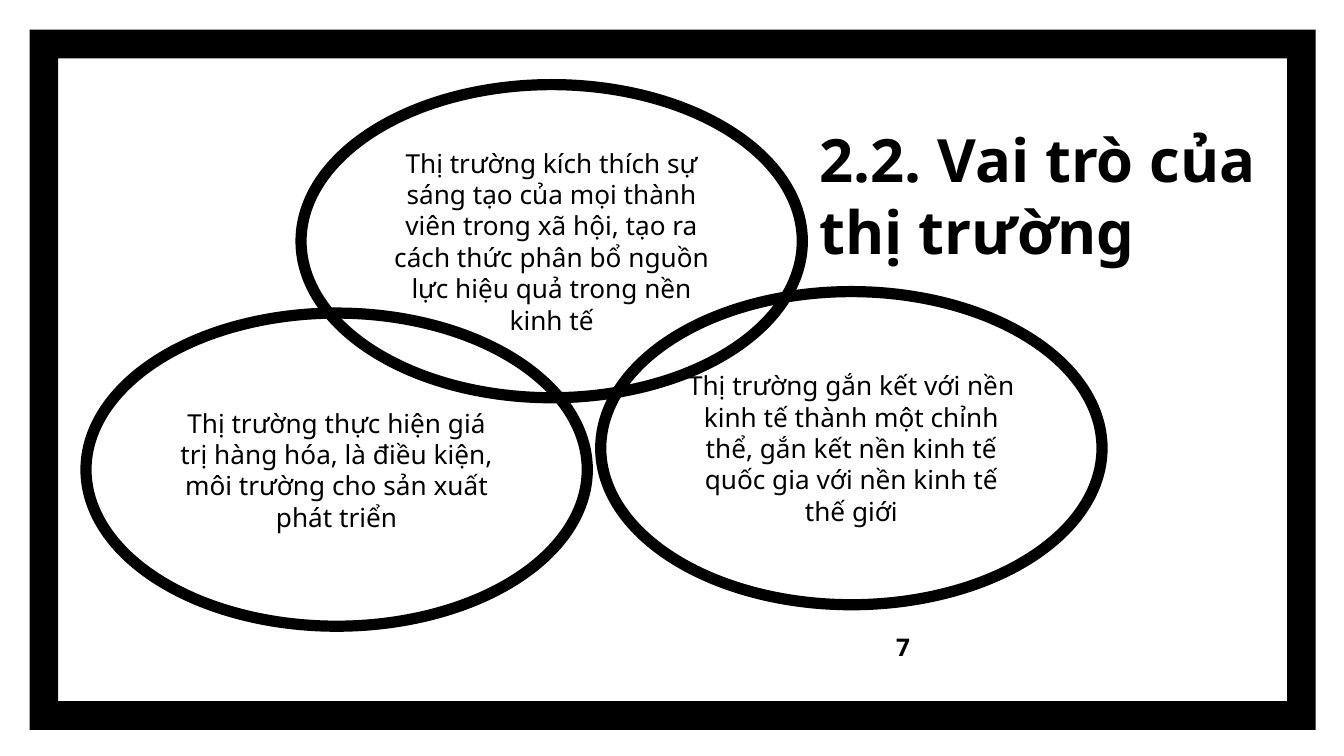
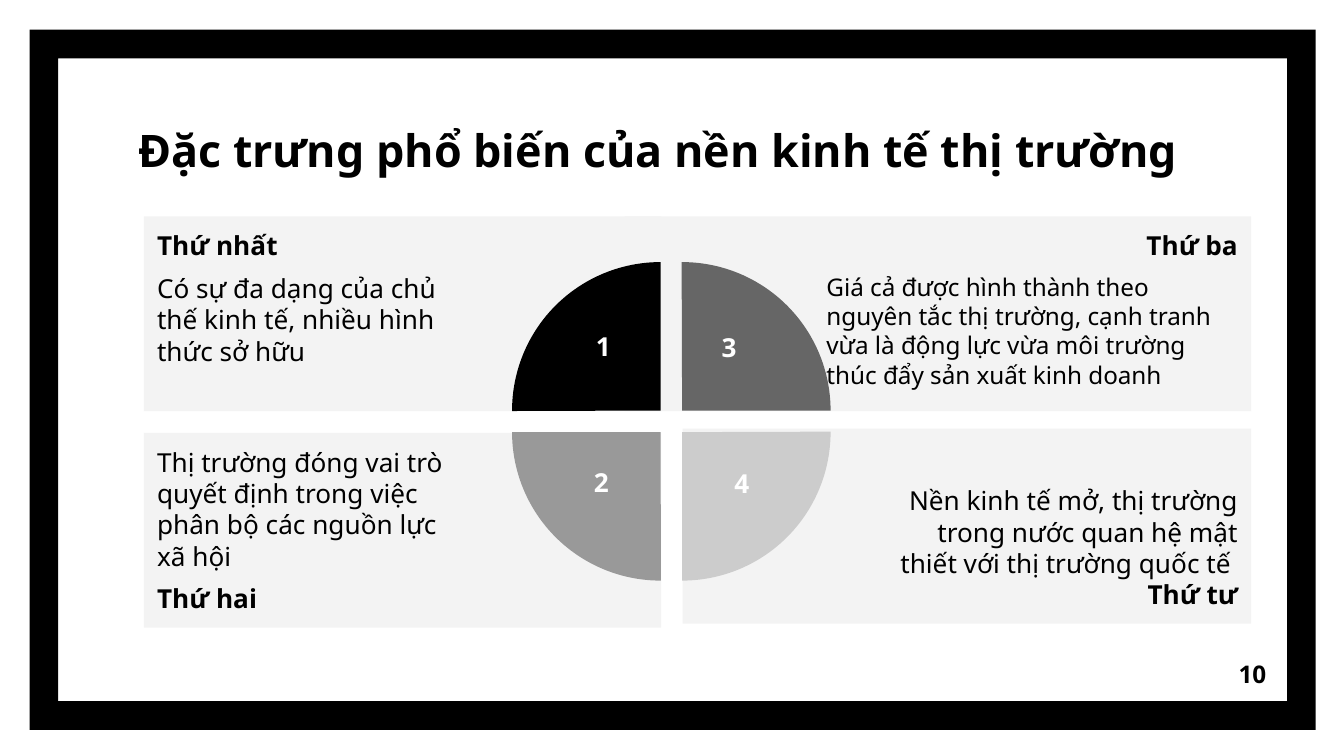
from pptx import Presentation
from pptx.dml.color import RGBColor
from pptx.enum.shapes import MSO_SHAPE as Shape
from pptx.enum.text import MSO_ANCHOR as Anchor, PP_ALIGN as Align
from pptx.util import Inches, Pt

FONT = "Noto Sans"
COLORS = {
    "ink": "000000",
    "paper": "FFFFFF",
    "panel": "F3F3F3",
    "first": "000000",
    "second": "999999",
    "third": "666666",
    "fourth": "CCCCCC",
}
EVEN_INSETS = (0.1, 0.1, 0.1, 0.1)
LABEL_INSETS = (0.1, 0.05, 0.1, 0.05)
LEFT_PANEL_INSETS = (0.1, 0.1, 1.5, 0.1)
RIGHT_PANEL_INSETS = (1.5, 0.1, 0.1, 0.1)


def color(name):
    return RGBColor.from_string(COLORS[name])


def add_para(box, text, *, first=False, size=14, bold=False, ink="ink",
             align=Align.LEFT, before=0, after=0):
    frame = box.text_frame
    para = frame.paragraphs[0] if first else frame.add_paragraph()
    para.alignment = align
    para.space_before = Pt(before)
    para.space_after = Pt(after)
    span = para.add_run()
    span.text = text
    span.font.name = FONT
    span.font.size = Pt(size)
    span.font.bold = bold
    span.font.color.rgb = color(ink)


def set_frame(box, anchor, insets):
    frame = box.text_frame
    frame.word_wrap = True
    frame.vertical_anchor = anchor
    (frame.margin_left, frame.margin_top,
     frame.margin_right, frame.margin_bottom) = map(Inches, insets)


def add_text(page, text, place, *, anchor=Anchor.TOP, insets=EVEN_INSETS, **style):
    box = page.shapes.add_textbox(*map(Inches, place))
    set_frame(box, anchor, insets)
    add_para(box, text, first=True, **style)


def add_figure(page, kind, place, *, fill=None, line_width=None):
    figure = page.shapes.add_shape(kind, *map(Inches, place))
    figure.shadow.inherit = False
    if fill:
        figure.fill.solid()
        figure.fill.fore_color.rgb = color(fill)
    else:
        figure.fill.background()
    if line_width:
        figure.line.color.rgb = color("ink")
        figure.line.width = Pt(line_width)
    else:
        figure.line.fill.background()
    return figure


def add_page(deck):
    page = deck.slides.add_slide(deck.slide_layouts[6])
    page.background.fill.solid()
    page.background.fill.fore_color.rgb = color("paper")
    border = add_figure(page, Shape.FRAME, (0.22, 0.22, 9.57, 5.21), fill="ink")
    border.adjustments[0] = 0.041
    return page


def add_title(page, text, place, size):
    add_text(page, text, place, anchor=Anchor.BOTTOM, size=size, bold=True)


def add_page_number(page, number, place):
    add_text(page, str(number), place, anchor=Anchor.MIDDLE, size=13,
             bold=True, align=Align.RIGHT)


def add_ring(page, text, left, top):
    ring = add_figure(page, Shape.OVAL, (left, top, 3.73, 2.33), line_width=6)
    set_frame(ring, Anchor.MIDDLE, EVEN_INSETS)
    add_para(ring, text, first=True, align=Align.CENTER)


def add_panel(page, place, anchor, insets, paras):
    panel = add_figure(page, Shape.RECTANGLE, place, fill="panel")
    set_frame(panel, anchor, insets)
    for index, (text, style) in enumerate(paras):
        add_para(panel, text, first=index == 0, **style)


def add_quarter(page, left, top, rotation, fill):
    quarter = add_figure(page, Shape.PIE, (left, top, 2.21, 2.21), fill=fill)
    quarter.adjustments[0] = 107.89
    quarter.adjustments[1] = 162
    quarter.rotation = rotation


def build_roles(deck):
    page = add_page(deck)
    add_title(page, "2.2. Vai trò của thị trường", (6, 0.59, 3.52, 1.49), 32)
    rings = [
        ("Thị trường kích thích sự sáng tạo của mọi thành viên trong xã hội, "
         "tạo ra cách thức phân bổ nguồn lực hiệu quả trong nền kinh tế", 2.24, 0.63),
        ("Thị trường thực hiện giá trị hàng hóa, là điều kiện, môi trường "
         "cho sản xuất phát triển", 0.64, 2.33),
        ("Thị trường gắn kết với nền kinh tế thành một chỉnh thể, gắn kết "
         "nền kinh tế quốc gia với nền kinh tế thế giới", 4.47, 2.17),
    ]
    for text, left, top in rings:
        add_ring(page, text, left, top)
    add_page_number(page, 7, (5.91, 4.6, 0.96, 0.43))


def build_features(deck):
    page = add_page(deck)
    add_page_number(page, 10, (8.92, 4.8, 0.6, 0.43))

    heading = {"bold": True}
    right = {"align": Align.RIGHT}
    spaced = {"before": 6, "after": 6}
    add_panel(page, (1.07, 1.61, 3.85, 1.45), Anchor.TOP, LEFT_PANEL_INSETS, [
        ("Thứ nhất", heading),
        ("Có sự đa dạng của chủ thế kinh tế, nhiều hình thức sở hữu", spaced),
    ])
    add_panel(page, (4.65, 1.61, 4.66, 1.45), Anchor.TOP, RIGHT_PANEL_INSETS, [
        ("Thứ ba", heading | right),
        ("Giá cả được hình thành theo nguyên tắc thị trường, cạnh tranh vừa là "
         "động lực vừa môi trường thúc đẩy sản xuất kinh doanh", spaced | {"size": 13}),
    ])
    add_panel(page, (1.07, 3.22, 3.85, 1.45), Anchor.BOTTOM, LEFT_PANEL_INSETS, [
        ("Thị trường đóng vai trò quyết định trong việc phân bộ các nguồn lực xã hội", {}),
        ("Thứ hai", heading | {"before": 6}),
    ])
    add_panel(page, (5.08, 3.19, 4.23, 1.45), Anchor.BOTTOM, RIGHT_PANEL_INSETS, [
        ("Nền kinh tế mở, thị trường trong nước quan hệ mật thiết với "
         "thị trường quốc tế ", right),
        ("Thứ tư", heading | right),
    ])

    left, top, gap = 3.81, 1.95, 0.16
    quarters = [(0, 0, "first"), (1, 0, "third"), (1, 1, "fourth"), (0, 1, "second")]
    for turn, (column, row, fill) in enumerate(quarters):
        add_quarter(page, left + column * gap, top + row * gap, turn * 90, fill)

    labels = [("1", 4.32, 2.41, 0.34), ("3", 5.25, 2.42, 0.35),
              ("2", 4.29, 3.42, 0.37), ("4", 5.35, 3.43, 0.34)]
    for digit, label_left, label_top, width in labels:
        add_text(page, digit, (label_left, label_top, width, 0.38), insets=LABEL_INSETS,
                 bold=True, ink="paper", align=Align.CENTER)

    add_title(page, "Đặc trưng phổ biến của nền kinh tế thị trường",
              (0.93, 0.75, 8.14, 0.66), 24)


def main():
    deck = Presentation()
    deck.slide_width = Inches(10)
    deck.slide_height = Inches(10) * 9 // 16
    build_roles(deck)
    build_features(deck)
    deck.save("out.pptx")


if __name__ == "__main__":
    main()
